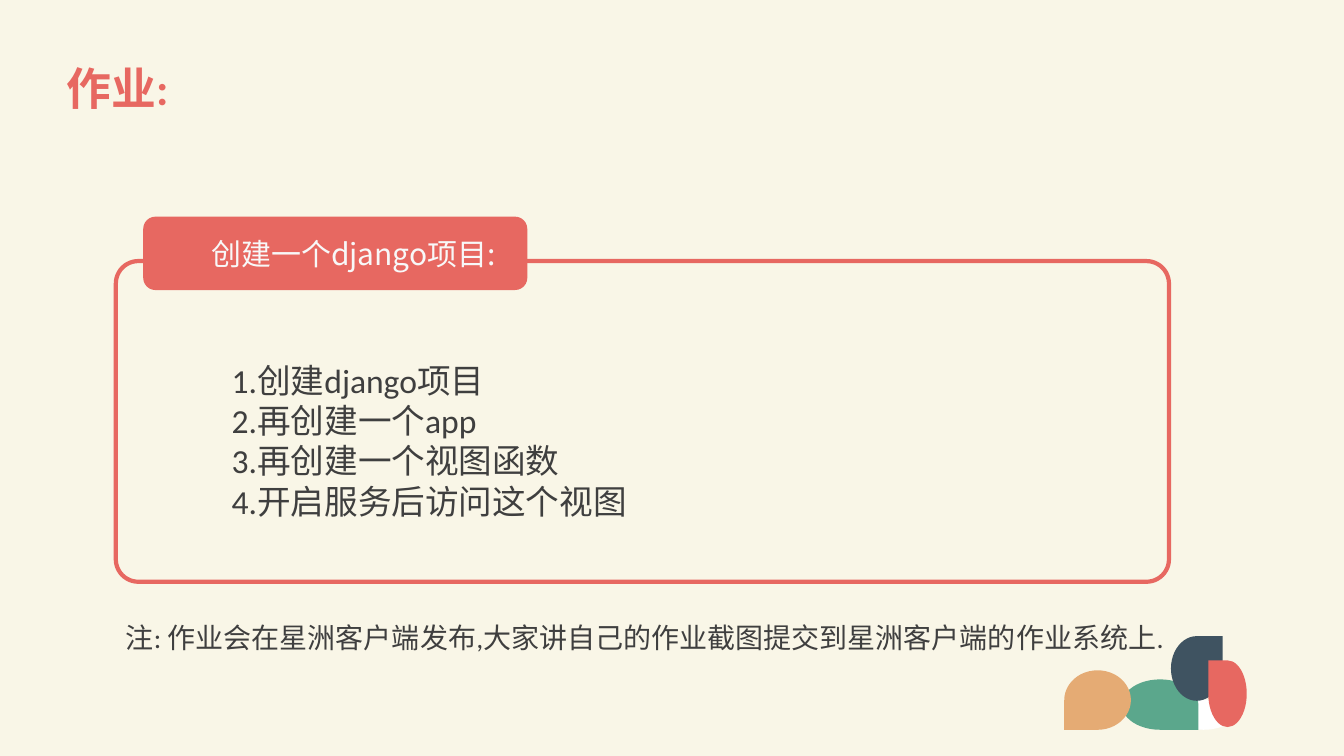
from pptx import Presentation
from pptx.dml.color import RGBColor
from pptx.enum import shapes, text
from pptx.util import Cm, Pt

CREAM = RGBColor(0xF9, 0xF6, 0xE7)
CORAL = RGBColor(0xE7, 0x68, 0x61)
GREEN = RGBColor(0x5B, 0xA7, 0x8C)
NAVY = RGBColor(0x3F, 0x53, 0x61)
SAND = RGBColor(0xE5, 0xAB, 0x74)
INK = RGBColor(0x3F, 0x3F, 0x3F)
WHITE = RGBColor(0xFF, 0xFF, 0xFF)
OFF_WHITE = RGBColor(0xF8, 0xF8, 0xF8)

STEPS = ["1.创建django项目", "2.再创建一个app", "3.再创建一个视图函数", "4.开启服务后访问这个视图"]
NOTE = "注: 作业会在星洲客户端发布,大家讲自己的作业截图提交到星洲客户端的作业系统上."


class HomeworkSlide:
    font = "Calibri"

    def __init__(self, deck):
        self.slide = deck.slides.add_slide(deck.slide_layouts[5])
        self.slide.background.fill.solid()
        self.slide.background.fill.fore_color.rgb = CREAM

    def set_text(self, frame, lines, size, color, font=None, bold=False, align=text.PP_ALIGN.LEFT):
        frame.word_wrap = True
        frame.text = "\n".join(lines)
        for paragraph in frame.paragraphs:
            paragraph.alignment = align
            for run in paragraph.runs:
                run.font.name = font or self.font
                run.font.size = Pt(size)
                run.font.bold = bold
                run.font.color.rgb = color

    def title(self, wording, left, top, width, height):
        heading = self.slide.shapes.title
        heading.left, heading.top = Cm(left), Cm(top)
        heading.width, heading.height = Cm(width), Cm(height)
        self.set_text(heading.text_frame, [wording], 32, CORAL, bold=True)
        heading.text_frame.vertical_anchor = text.MSO_ANCHOR.MIDDLE
        heading.text_frame.paragraphs[0].line_spacing = 0.9

    def shape(self, kind, left, top, width, height, fill=None, line=None):
        added = self.slide.shapes.add_shape(kind, Cm(left), Cm(top), Cm(width), Cm(height))
        added.shadow.inherit = False
        if fill is None:
            added.fill.background()
        else:
            added.fill.solid()
            added.fill.fore_color.rgb = fill
        if line is None:
            added.line.fill.background()
        else:
            added.line.color.rgb = line
            added.line.width = Pt(3)
        return added

    def petal(self, left, top, width, height, fill, turn):
        """Draw an ellipse with one square corner; turn 0 puts it top right, then clockwise."""
        if turn in (90, 270):
            left += (width - height) / 2
            top += (height - width) / 2
            width, height = height, width
        self.shape(shapes.MSO_SHAPE.TEAR, left, top, width, height, fill).rotation = turn

    def text_box(self, lines, size, left, top, width, height):
        box = self.slide.shapes.add_textbox(Cm(left), Cm(top), Cm(width), Cm(height))
        self.set_text(box.text_frame, lines, size, INK)


def main():
    deck = Presentation()
    deck.slide_width, deck.slide_height = Cm(33.87), Cm(19.05)
    page = HomeworkSlide(deck)
    page.title("作业:", 1.42, 0.94, 31.22, 2.69)

    page.shape(shapes.MSO_SHAPE.OVAL, 29.57, 17.63, 1.52, 0.76, WHITE)
    page.petal(28.27, 17.12, 1.93, 1.27, GREEN, 90)
    page.petal(29.51, 16.03, 1.3, 1.63, NAVY, 0)
    page.petal(30.45, 16.64, 0.97, 1.68, CORAL, 270)
    page.petal(26.82, 16.89, 1.68, 1.5, SAND, 180)

    rounded = shapes.MSO_SHAPE.ROUNDED_RECTANGLE
    frame = page.shape(rounded, 2.92, 6.58, 26.54, 8.08, line=CORAL)
    frame.adjustments[0] = 0.07
    tab = page.shape(rounded, 3.61, 5.46, 9.68, 1.85, CORAL)
    tab.text_frame.margin_left = Cm(1.17)
    page.set_text(tab.text_frame, ["创建一个django项目:"], 21.4, OFF_WHITE,
                  font="Noto Sans CJK SC", align=text.PP_ALIGN.CENTER)

    page.text_box(STEPS, 24, 5.59, 8.94, 10.46, 5.38)
    page.text_box([NOTE], 20, 2.92, 15.52, 26.59, 1.12)
    deck.save("out.pptx")


if __name__ == "__main__":
    main()
